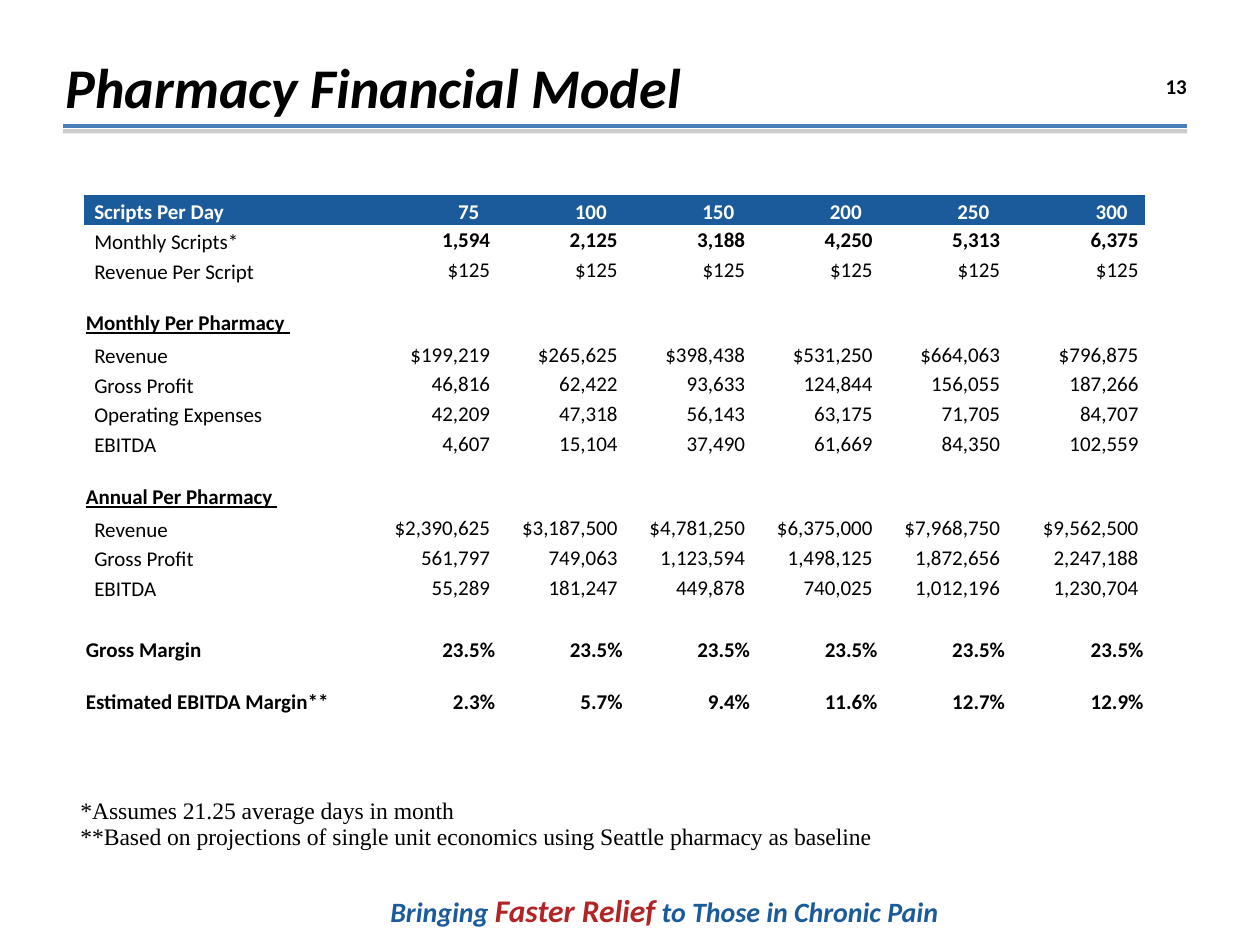
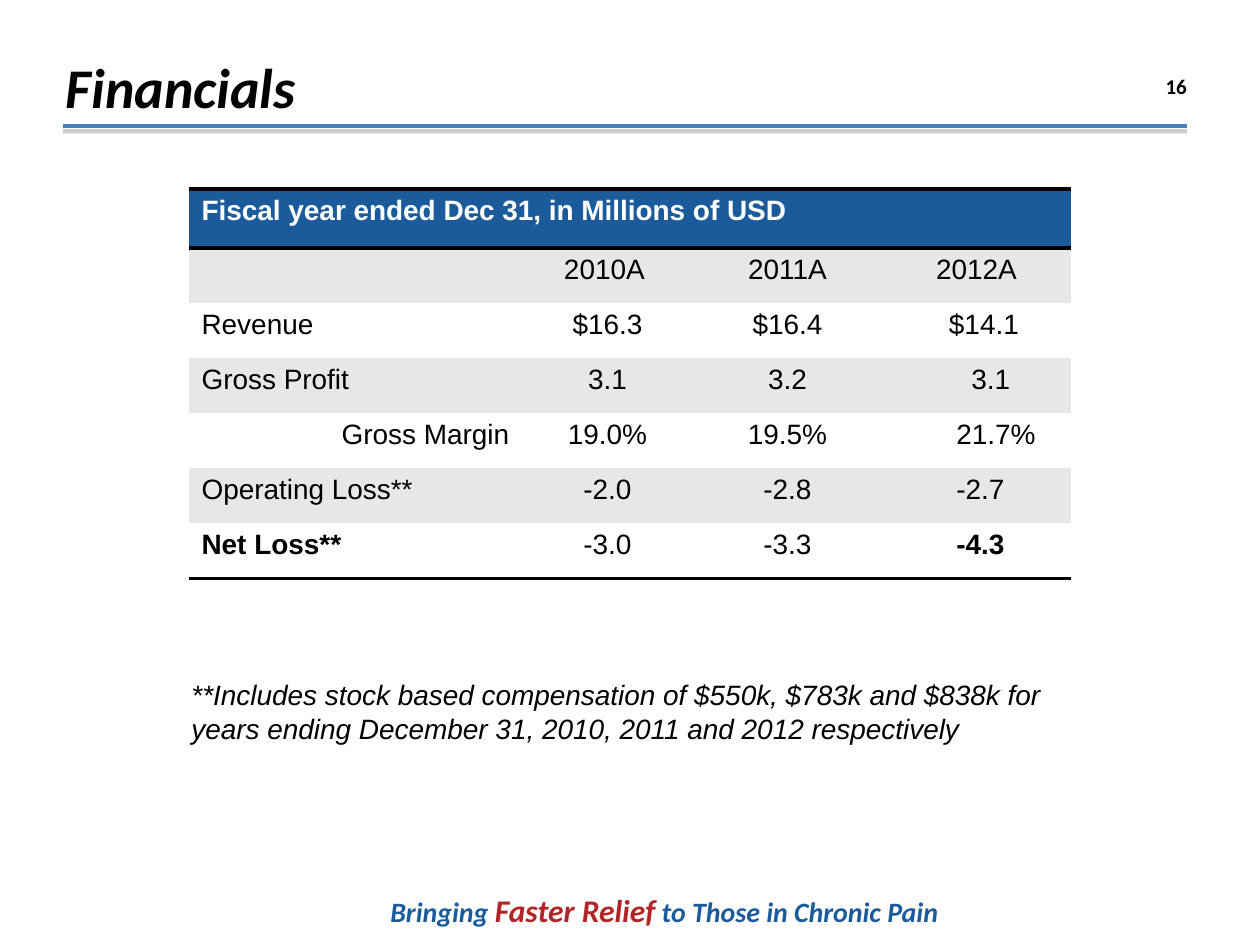
from lxml.etree import SubElement
from pptx import Presentation
from pptx.dml.color import RGBColor
from pptx.enum.shapes import MSO_CONNECTOR
from pptx.enum.text import MSO_ANCHOR, PP_ALIGN
from pptx.oxml import parse_xml
from pptx.oxml.ns import nsdecls, qn
from pptx.util import Cm, Pt

COLORS = {
    "black": "000000",
    "white": "FFFFFF",
    "navy": "1B5B9C",
    "red": "B12527",
    "rule": "4A7EBB",
    "shadow": "808080",
    "band": "E7E7E7",
}
NO_TABLE_STYLE = "{2D5ABB26-0587-4C30-8999-92F81FD0307C}"


def add_run(paragraph, text, size, font="Calibri", color="black", bold=False, italic=False):
    run = paragraph.add_run()
    run.text = text
    run.font.name = font
    run.font.size = Pt(size)
    run.font.bold = bold
    run.font.italic = italic
    run.font.color.rgb = RGBColor.from_string(COLORS[color])
    return run


def add_plain_table(slide, left, top, widths, heights):
    frame = slide.shapes.add_table(
        len(heights), len(widths), Cm(left), Cm(top), Cm(sum(widths)), Cm(sum(heights)))
    table = frame.table
    table.first_row = False
    table.horz_banding = False
    table._tbl.tblPr.find(qn("a:tableStyleId")).text = NO_TABLE_STYLE
    for column, width in zip(table.columns, widths):
        column.width = Cm(width)
    for row, height in zip(table.rows, heights):
        row.height = Cm(height)
    for cell in table.iter_cells():
        cell.fill.background()
    return table


presentation = Presentation()
presentation.slide_width = Cm(25.4)
presentation.slide_height = Cm(19.05)

slides = []
for title, number in [("Pharmacy Financial Model", "13"), ("Financials", "16")]:
    slide = presentation.slides.add_slide(presentation.slide_layouts[5])
    slides.append(slide)

    rule = slide.shapes.add_connector(
        MSO_CONNECTOR.STRAIGHT, Cm(1.27), Cm(2.54), Cm(23.93), Cm(2.54))
    rule.line.color.rgb = RGBColor.from_string(COLORS["rule"])
    rule.line.width = Pt(2.5)
    rule._element.spPr.append(parse_xml(
        f'<a:effectLst {nsdecls("a")}><a:outerShdw blurRad="0" dist="{Pt(3)}" dir="5400000">'
        f'<a:srgbClr val="{COLORS["shadow"]}"><a:alpha val="40000"/></a:srgbClr>'
        '</a:outerShdw></a:effectLst>'))

    heading = slide.shapes.title
    heading.left, heading.top, heading.width, heading.height = Cm(1.07), Cm(0.89), Cm(23.06), Cm(1.7)
    heading.text_frame.vertical_anchor = MSO_ANCHOR.MIDDLE
    paragraph = heading.text_frame.paragraphs[0]
    paragraph.alignment = PP_ALIGN.LEFT
    add_run(paragraph, title, 32, bold=True, italic=True)

    page_number = slide.shapes.add_textbox(Cm(22.02), Cm(0.84), Cm(3.38), Cm(1.27))
    page_number.text_frame.word_wrap = True
    page_number.text_frame.vertical_anchor = MSO_ANCHOR.BOTTOM
    paragraph = page_number.text_frame.paragraphs[0]
    paragraph.alignment = PP_ALIGN.CENTER
    add_run(paragraph, number, 12, bold=True)

    tagline = slide.shapes.add_textbox(Cm(7.62), Cm(17.83), Cm(11.63), Cm(1.02))
    tagline.text_frame.word_wrap = False
    paragraph = tagline.text_frame.paragraphs[0]
    for text, size, color in [
        ("Bringing ", 16, "navy"),
        ("Faster Relief", 18, "red"),
        (" to Those in Chronic Pain", 16, "navy"),
    ]:
        add_run(paragraph, text, size, color=color, bold=True, italic=True)

model_slide, financials_slide = slides

footnotes = add_plain_table(model_slide, 1.47, 15.98, [21.59], [1.17])
cell = footnotes.cell(0, 0)
cell.vertical_anchor = MSO_ANCHOR.BOTTOM
cell.margin_left = Cm(0.15)
cell.margin_right = cell.margin_top = Cm(0.03)
cell.margin_bottom = 0
add_run(cell.text_frame.paragraphs[0], "*Assumes 21.25 average days in month",
        13.5, "Times New Roman")
add_run(cell.text_frame.add_paragraph(),
        "**Based on projections of single unit economics using Seattle pharmacy as baseline",
        13.5, "Times New Roman")

model_rows = [
    ("header", "Scripts Per Day", "75 100 150 200 250 300"),
    ("strong", "Monthly Scripts*", "1,594 2,125 3,188 4,250 5,313 6,375"),
    ("plain", "Revenue Per Script", "$125 $125 $125 $125 $125 $125"),
    ("gap", "", ""),
    ("section", "Monthly Per Pharmacy ", ""),
    ("plain", "Revenue", "$199,219 $265,625 $398,438 $531,250 $664,063 $796,875"),
    ("plain", "Gross Profit", "46,816 62,422 93,633 124,844 156,055 187,266"),
    ("plain", "Operating Expenses", "42,209 47,318 56,143 63,175 71,705 84,707"),
    ("plain", "EBITDA", "4,607 15,104 37,490 61,669 84,350 102,559"),
    ("gap", "", ""),
    ("section", "Annual Per Pharmacy ", ""),
    ("plain", "Revenue", "$2,390,625 $3,187,500 $4,781,250 $6,375,000 $7,968,750 $9,562,500"),
    ("plain", "Gross Profit", "561,797 749,063 1,123,594 1,498,125 1,872,656 2,247,188"),
    ("plain", "EBITDA", "55,289 181,247 449,878 740,025 1,012,196 1,230,704"),
    ("gap", "", ""),
    ("margin", "Gross Margin", "23.5% 23.5% 23.5% 23.5% 23.5% 23.5%"),
    ("margin", "Estimated EBITDA Margin**", "2.3% 5.7% 9.4% 11.6% 12.7% 12.9%"),
]
model_heights = [0.5 if kind == "gap" else 0.6 for kind, label, values in model_rows]
model_heights[-2:] = [0.91, 1.17]
right_margins = {"header": 0.35, "margin": 0.03}

model = add_plain_table(model_slide, 1.7, 3.94, [5.74] + [2.57] * 5 + [2.79], model_heights)
for row_index, (kind, label, values) in enumerate(model_rows):
    if kind == "section":
        model.cell(row_index, 0).merge(model.cell(row_index, 6))
    texts = [label] + values.split()
    for column_index in range(7):
        cell = model.cell(row_index, column_index)
        cell.margin_left = cell.margin_right = cell.margin_top = Cm(0.03)
        cell.margin_bottom = 0
        paragraph = cell.text_frame.paragraphs[0]
        if column_index >= len(texts) or not texts[column_index]:
            SubElement(paragraph._p, qn("a:endParaRPr"), sz="1000")
            continue
        is_label = column_index == 0
        bold = kind in ("header", "section", "margin") or (kind == "strong" and not is_label)
        color = "white" if kind == "header" else "black"
        run = add_run(paragraph, texts[column_index], 12, color=color, bold=bold)
        cell.vertical_anchor = MSO_ANCHOR.MIDDLE
        if kind == "header":
            cell.fill.solid()
            cell.fill.fore_color.rgb = RGBColor.from_string(COLORS["navy"])
            cell.vertical_anchor = MSO_ANCHOR.BOTTOM
        if kind == "section":
            run.font.underline = True
            cell.vertical_anchor = MSO_ANCHOR.TOP
        elif not is_label:
            paragraph.alignment = PP_ALIGN.RIGHT
            cell.margin_right = Cm(right_margins.get(kind, 0.13))
        elif kind != "margin":
            cell.margin_left = Cm(0.2)
            cell.vertical_anchor = MSO_ANCHOR.BOTTOM

financial_rows = [
    ("Fiscal year ended Dec 31, in Millions of USD", "", "", ""),
    ("", "2010A ", "2011A", "2012A"),
    ("Revenue", "$16.3", "$16.4", "$14.1"),
    ("Gross Profit", "3.1", "3.2", "3.1"),
    ("Gross Margin", "19.0%", "19.5%", "21.7%"),
    ("Operating Loss**", "-2.0", "-2.8", "-2.7"),
    ("Net Loss**", "-3.0", "-3.3", "-4.3"),
]
last_column_indents = {2: 1.35, 3: 1.8, 4: 1.5, 5: 1.5, 6: 1.5}
row_borders = {0: ["lnB", "lnT"], 6: ["lnB"]}

financials = add_plain_table(
    financials_slide, 3.81, 3.81, [6.71, 3.45, 3.81, 3.81], [1.19] + [1.11] * 6)
financials.cell(0, 0).merge(financials.cell(0, 3))
for row_index, texts in enumerate(financial_rows):
    fill = "navy" if row_index == 0 else "band" if row_index % 2 else "white"
    for column_index, text in enumerate(texts):
        cell = financials.cell(row_index, column_index)
        cell.fill.solid()
        cell.fill.fore_color.rgb = RGBColor.from_string(COLORS[fill])
        for side in row_borders.get(row_index, []):
            cell._tc.get_or_add_tcPr().insert(0, parse_xml(
                f'<a:{side} {nsdecls("a")} w="{Pt(2)}"><a:solidFill>'
                f'<a:srgbClr val="{COLORS["black"]}"/></a:solidFill></a:{side}>'))
        paragraph = cell.text_frame.paragraphs[0]
        if not text:
            SubElement(paragraph._p, qn("a:endParaRPr"), sz="1600")
            continue
        if column_index == 3 and row_index in last_column_indents:
            cell.margin_left = Cm(last_column_indents[row_index])
        elif column_index > 0:
            paragraph.alignment = PP_ALIGN.CENTER
        elif text == "Gross Margin":
            paragraph.alignment = PP_ALIGN.RIGHT
        bold = row_index == 0 or (row_index == 6 and column_index in (0, 3))
        add_run(paragraph, text, 16, "Arial", "white" if row_index == 0 else "black", bold)

compensation_note = financials_slide.shapes.add_textbox(Cm(3.61), Cm(13.54), Cm(17.98), Cm(1.63))
compensation_note.text_frame.word_wrap = True
add_run(compensation_note.text_frame.paragraphs[0],
        "**Includes stock based compensation of $550k, $783k and $838k for years ending "
        "December 31, 2010, 2011 and 2012 respectively", 16, "Arial", italic=True)

presentation.save("out.pptx")
